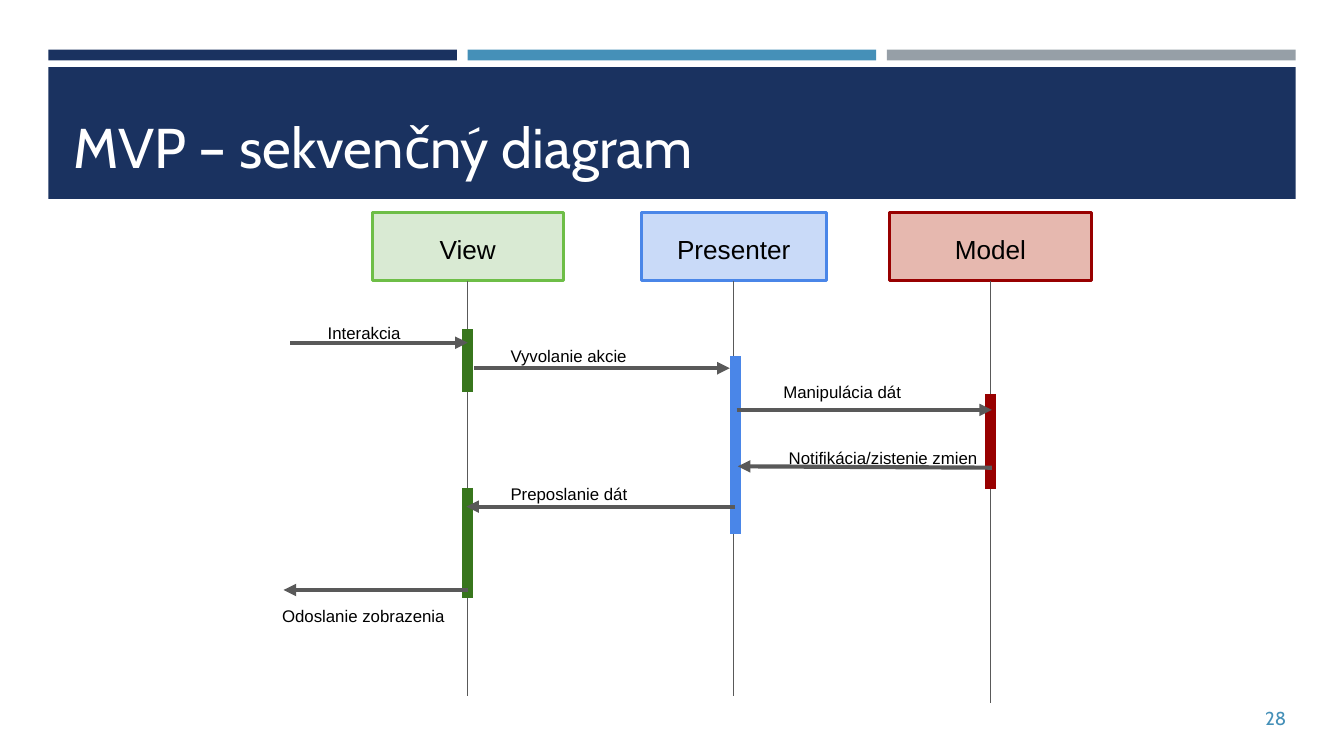
from lxml import etree
from pptx import Presentation
from pptx.dml.color import RGBColor
from pptx.enum import shapes, text
from pptx.oxml.ns import qn
from pptx.util import Inches, Pt

COLORS = {
    "navy": "1A3260", "blue": "4590B8", "gray": "969FA7", "white": "FFFFFF",
    "black": "000000", "line": "595959",
    "view": "D9EAD3", "view_edge": "6EBE47", "view_bar": "38761D",
    "presenter": "C9DAF8", "presenter_edge": "4A86E8", "presenter_bar": "4A86E8",
    "model": "E6B8AF", "model_edge": "980000", "model_bar": "980000",
}

# Content
TITLE = "MVP – sekvenčný diagram"
PAGE_NUMBER = "28"
STRIPES = ["navy", "blue", "gray"]

# name, centre, width, lifeline end, activations (x, top, bottom)
ACTORS = [
    ("View", 3.48, 1.42, 5.18, [(3.48, 2.45, 2.92), (3.48, 3.63, 4.45)]),
    ("Presenter", 5.46, 1.38, 5.18, [(5.47, 2.65, 3.97)]),
    ("Model", 7.37, 1.5, 5.23, [(7.37, 2.93, 3.64)]),
]
# label, label left, top, width, arrow start, arrow end
MESSAGES = [
    ("Interakcia", 2.34, 2.29, 1.22, (2.16, 2.55), (3.48, 2.55)),
    ("Vyvolanie akcie", 3.7, 2.46, 1.22, (3.53, 2.74), (5.43, 2.74)),
    ("Manipulácia dát", 5.73, 2.73, 1.42, (5.48, 3.05), (7.38, 3.05)),
    ("Notifikácia/zistenie zmien", 5.77, 3.22, 2.09, (7.38, 3.48), (5.49, 3.47)),
    ("Preposlanie dát", 3.7, 3.49, 2.09, (5.47, 3.77), (3.47, 3.77)),
    ("Odoslanie zobrazenia", 2, 4.4, 2.09, (3.48, 4.39), (2.11, 4.39)),
]
ACTOR_TOP, ACTOR_HEIGHT = 1.58, 0.51

deck = Presentation()
deck.slide_width = Inches(10)
deck.slide_height = deck.slide_width * 9 // 16
page = deck.slides.add_slide(deck.slide_layouts[6])


def color(name):
    return RGBColor.from_string(COLORS[name])


def write(shape, words, size=9, font="Arial", ink="black", inset=(0.1, 0.1),
          spacing=1.15, align=text.PP_ALIGN.LEFT, anchor=text.MSO_ANCHOR.TOP):
    frame = shape.text_frame
    frame.word_wrap = True
    frame.vertical_anchor = anchor
    frame.margin_left = frame.margin_right = Inches(inset[0])
    frame.margin_top = frame.margin_bottom = Inches(inset[1])
    para = frame.paragraphs[0]
    para.alignment = align
    para.line_spacing = spacing
    span = para.add_run()
    span.text = words
    span.font.size, span.font.name = Pt(size), font
    span.font.color.rgb = color(ink)


def add_label(words, left, top, width, height, **style):
    box = page.shapes.add_textbox(*map(Inches, (left, top, width, height)))
    write(box, words, **style)


def add_box(left, top, width, height, fill, edge=None):
    box = page.shapes.add_shape(shapes.MSO_SHAPE.RECTANGLE,
                                *map(Inches, (left, top, width, height)))
    box.shadow.inherit = False
    box.fill.solid()
    box.fill.fore_color.rgb = color(fill)
    if edge:
        box.line.color.rgb = color(edge)
        box.line.width = Pt(1.5)
    else:
        box.line.fill.background()
    return box


def add_line(start, end, ink="line", width=0.75, arrow=False):
    line = page.shapes.add_connector(shapes.MSO_CONNECTOR.STRAIGHT,
                                     *map(Inches, (*start, *end)))
    line.line.color.rgb = color(ink)
    line.line.width = Pt(width)
    if arrow:
        etree.SubElement(line.line._get_or_add_ln(), qn("a:tailEnd"), type="triangle")
    etree.SubElement(line._element.spPr, qn("a:effectLst"))
    return line


# Header band, title and page number
for index, fill in enumerate(STRIPES):
    add_box(0.36 + index * 3.12, 0.37, 3.04, 0.08, fill)
add_box(0.36, 0.5, 9.28, 0.98, "navy")
add_label(TITLE, 0.48, 0.58, 9.05, 0.83, size=30, font="Cabin", ink="white",
          inset=(0.07, 0.07), spacing=1, anchor=text.MSO_ANCHOR.BOTTOM)
add_label(PAGE_NUMBER, 9.3, 5.19, 0.34, 0.3, size=10, font="Cabin", ink="blue",
          inset=(0.07, 0.04), spacing=1, align=text.PP_ALIGN.RIGHT,
          anchor=text.MSO_ANCHOR.MIDDLE)

# Actors with lifelines and activation bars
for name, center, width, end, activations in ACTORS:
    key = name.lower()
    actor = add_box(center - width / 2, ACTOR_TOP, width, ACTOR_HEIGHT, key, key + "_edge")
    write(actor, name, size=14, align=text.PP_ALIGN.CENTER, anchor=text.MSO_ANCHOR.MIDDLE)
    lifeline = add_line((center, ACTOR_TOP + ACTOR_HEIGHT), (center, end))
    lifeline.begin_connect(actor, 2)
    for x, top, bottom in activations:
        add_line((x, top), (x, bottom), key + "_bar", 6)

# Messages
for label, left, top, width, start, end in MESSAGES:
    add_line(start, end, width=2.25, arrow=True)
    add_label(label, left, top, width, 0.47)

deck.save("out.pptx")
